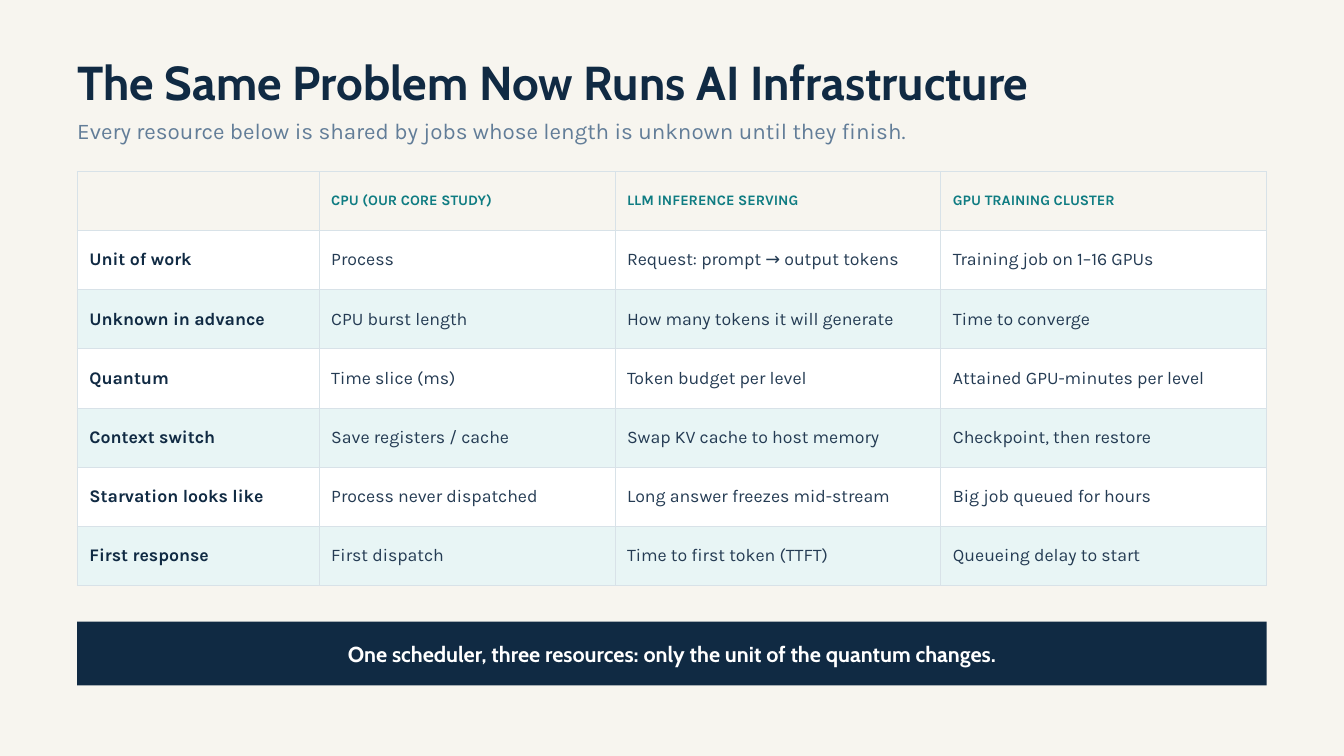
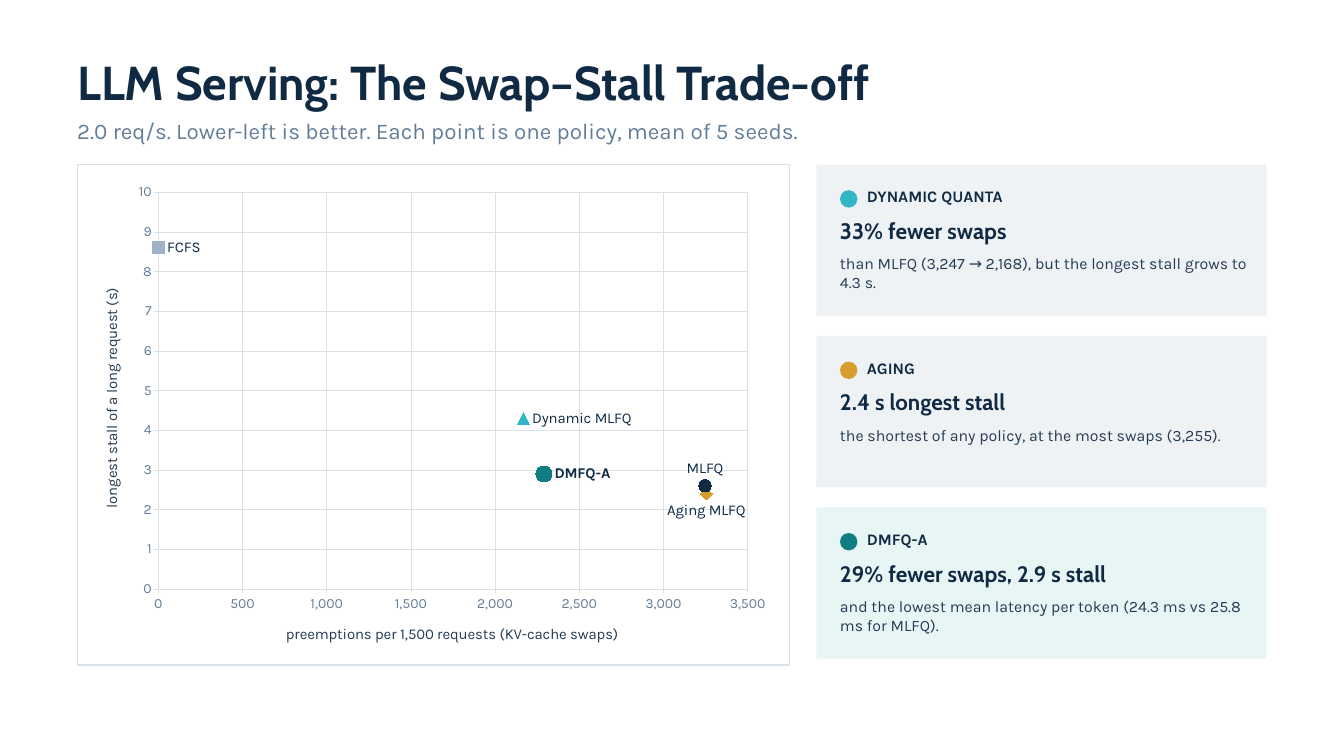
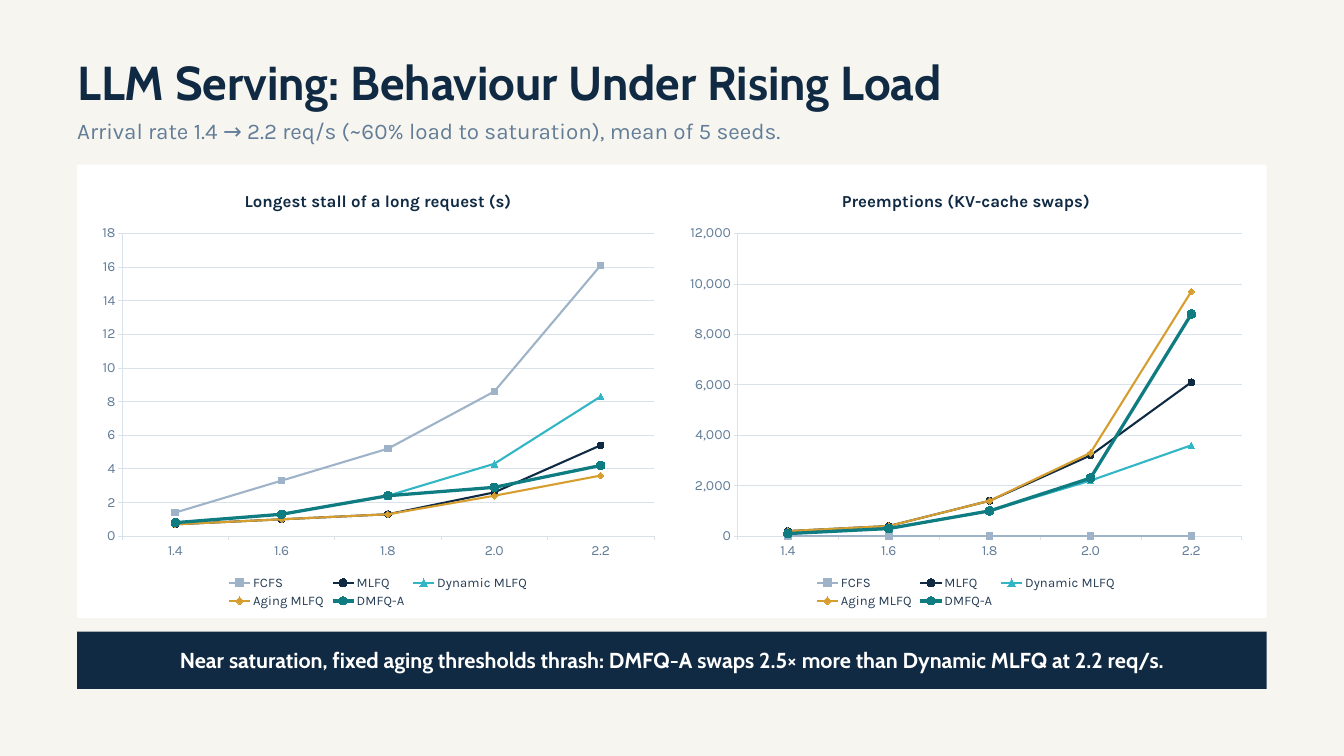
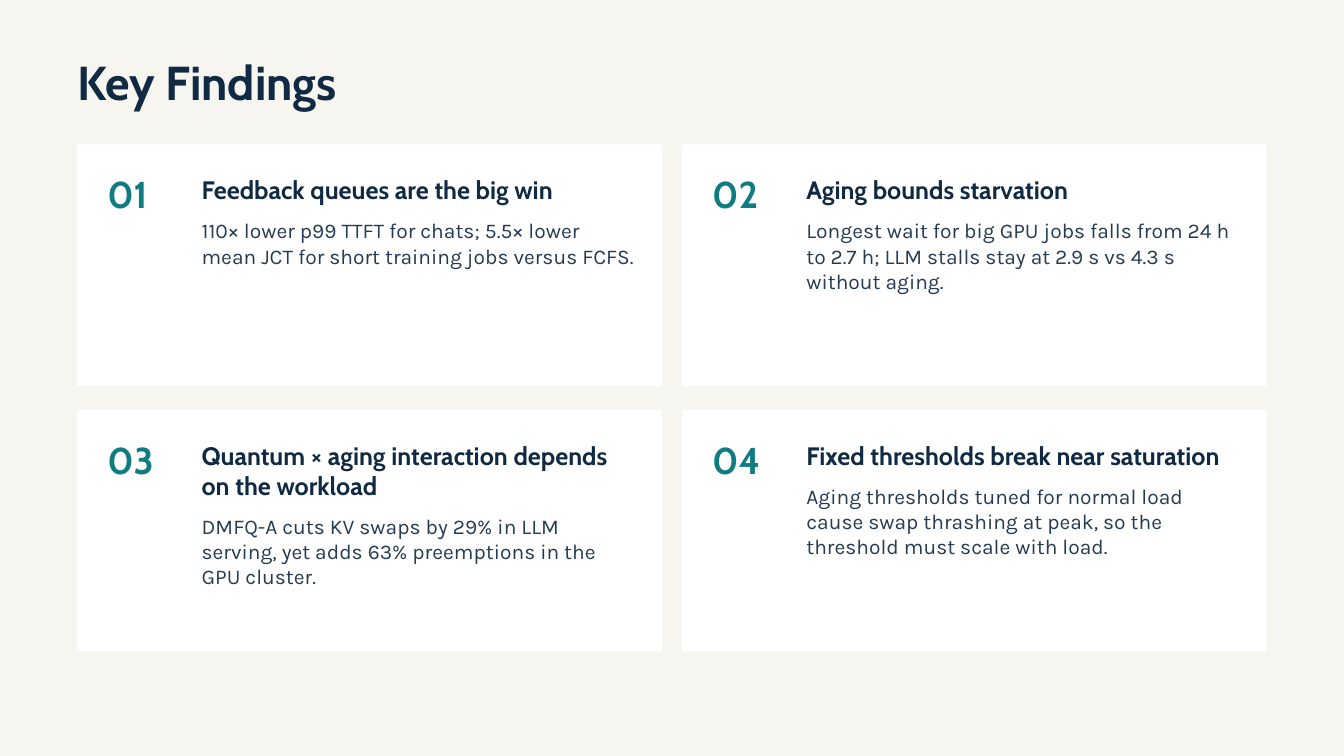
from lxml import etree
from pptx import Presentation
from pptx import util as u
from pptx.chart import data as chart_data
from pptx.dml.color import RGBColor
from pptx.enum import chart as ch, shapes, text as tx
from pptx.oxml import ns

rgb = RGBColor.from_string

NAVY, INK, SLATE, TEAL = "102A43", "243B53", "627D98", "0F7C82"
CYAN, GOLD, STEEL = "32B6C5", "D69E2E", "9FB3C8"
CREAM, WHITE, MINT, MIST, RULE = "F7F5EF", "FFFFFF", "E8F5F5", "EEF2F5", "D8E2E8"
HEAD, BODY = "Cabin", "Karla"
LEFT, WIDTH = 2.92, 44.96


def add_box(page, left, top, width, height, fill=None, kind=shapes.MSO_SHAPE.RECTANGLE):
    """Add a filled shape, or a text box without margins if there is no fill."""
    place = [u.Cm(length) for length in (left, top, width, height)]
    if fill:
        box = page.shapes.add_shape(kind, *place)
        box.shadow.inherit = False
        box.fill.solid()
        box.fill.fore_color.rgb = rgb(fill)
        box.line.fill.background()
        return box
    box = page.shapes.add_textbox(*place)
    frame = box.text_frame
    frame.word_wrap = True
    frame.margin_left = frame.margin_top = frame.margin_right = frame.margin_bottom = 0
    return box


def write(frame, text, size, color=INK, font=BODY, bold=False, align=None, after=None):
    """Fill the first paragraph of a text frame, or add one if it is taken."""
    para = frame.paragraphs[0]
    if para.runs:
        para = frame.add_paragraph()
    para.alignment = align
    if after is not None:
        para.space_after = u.Pt(after)
    span = para.add_run()
    span.text = text
    span.font.size = u.Pt(size)
    span.font.name = font
    span.font.bold = bold
    span.font.color.rgb = rgb(color)


deck = Presentation()
deck.slide_width, deck.slide_height = u.Cm(50.8), u.Cm(28.58)

# Backgrounds, titles and subtitles
headings = [
    (CREAM, "The Same Problem Now Runs AI Infrastructure",
     "Every resource below is shared by jobs whose length is unknown until they finish."),
    (WHITE, "LLM Serving: The Swap–Stall Trade-off",
     "2.0 req/s. Lower-left is better. Each point is one policy, mean of 5 seeds."),
    (CREAM, "LLM Serving: Behaviour Under Rising Load",
     "Arrival rate 1.4 → 2.2 req/s (~60% load to saturation), mean of 5 seeds."),
    (CREAM, "Key Findings", None),
]
pages = []
for background, title, subtitle in headings:
    page = deck.slides.add_slide(deck.slide_layouts[6])
    page.background.fill.solid()
    page.background.fill.fore_color.rgb = rgb(background)
    write(add_box(page, LEFT, 2.01, WIDTH, 2.03).text_frame, title, 51, NAVY, HEAD, True)
    if subtitle:
        write(add_box(page, LEFT, 4.42, 43.18, 1.14).text_frame, subtitle, 24, SLATE)
    pages.append(page)
resources_page, tradeoff_page, load_page, findings_page = pages

# Slide 1: comparison table
rows = [
    ("", "CPU (OUR CORE STUDY)", "LLM INFERENCE SERVING", "GPU TRAINING CLUSTER"),
    ("Unit of work", "Process", "Request: prompt → output tokens", "Training job on 1–16 GPUs"),
    ("Unknown in advance", "CPU burst length", "How many tokens it will generate", "Time to converge"),
    ("Quantum", "Time slice (ms)", "Token budget per level", "Attained GPU-minutes per level"),
    ("Context switch", "Save registers / cache", "Swap KV cache to host memory",
     "Checkpoint, then restore"),
    ("Starvation looks like", "Process never dispatched", "Long answer freezes mid-stream",
     "Big job queued for hours"),
    ("First response", "First dispatch", "Time to first token (TTFT)", "Queueing delay to start"),
]
row_height = 2.235
table = resources_page.shapes.add_table(
    len(rows), len(rows[0]), u.Cm(LEFT), u.Cm(6.48), u.Cm(WIDTH), u.Cm(row_height * len(rows))).table
for column, width in zip(table.columns, (9.14, 11.18, 12.32, 12.32)):
    column.width = u.Cm(width)
for row_index, row in enumerate(rows):
    table.rows[row_index].height = u.Cm(row_height)
    for column_index, text in enumerate(row):
        cell = table.cell(row_index, column_index)
        cell.margin_left = cell.margin_right = u.Cm(0.46)
        cell.margin_top = cell.margin_bottom = u.Cm(0.2)
        cell.vertical_anchor = tx.MSO_ANCHOR.MIDDLE
        properties = cell._tc.get_or_add_tcPr()
        for side in ("a:lnL", "a:lnR", "a:lnT", "a:lnB"):
            border = etree.SubElement(properties, ns.qn(side), w=str(u.Pt(0.75)))
            solid = etree.SubElement(border, ns.qn("a:solidFill"))
            etree.SubElement(solid, ns.qn("a:srgbClr"), val=RULE)
        cell.fill.solid()
        fill = CREAM if row_index == 0 else WHITE if row_index % 2 else MINT
        cell.fill.fore_color.rgb = rgb(fill)
        if row_index == 0 and text:
            write(cell.text_frame, text, 15.5, TEAL, bold=True)
        elif text:
            is_label = column_index == 0
            write(cell.text_frame, text, 19, NAVY if is_label else INK, bold=is_label)

# Slide 2: scatter chart, one series per policy
panel = add_box(tradeoff_page, LEFT, 6.22, 26.92, 18.92, WHITE)
panel.line.color.rgb = rgb(RULE)
panel.line.width = u.Pt(1.25)

marker_styles, label_positions = ch.XL_MARKER_STYLE, ch.XL_LABEL_POSITION
policies = [
    ("FCFS", STEEL, marker_styles.SQUARE, 0, 8.6, label_positions.RIGHT),
    ("MLFQ", NAVY, marker_styles.CIRCLE, 3247, 2.6, label_positions.ABOVE),
    ("Dynamic MLFQ", CYAN, marker_styles.TRIANGLE, 2168, 4.3, label_positions.RIGHT),
    ("Aging MLFQ", GOLD, marker_styles.DIAMOND, 3255, 2.4, label_positions.BELOW),
    ("DMFQ-A", TEAL, marker_styles.CIRCLE, 2290, 2.9, label_positions.RIGHT),
]
points = chart_data.XyChartData()
for number, policy in enumerate(policies, 1):
    points.add_series(f"Series {number}").add_data_point(policy[3], policy[4])
scatter = tradeoff_page.shapes.add_chart(
    ch.XL_CHART_TYPE.XY_SCATTER, u.Cm(3.3), u.Cm(6.6), u.Cm(26.16), u.Cm(18.29), points).chart
scatter.has_title = scatter.has_legend = False
scatter.category_axis.has_major_gridlines = True
scatter.category_axis.tick_labels.number_format = "#,##0"
scatter.value_axis.tick_labels.number_format = "0"
for axis, title, turn in (
        (scatter.category_axis, "preemptions per 1,500 requests (KV-cache swaps)", "0"),
        (scatter.value_axis, "longest stall of a long request (s)", "-5400000")):
    axis.minimum_scale = 0
    frame = axis.axis_title.text_frame
    write(frame, title, 16)
    frame._txBody.bodyPr.set("rot", turn)
for series, (name, _, _, _, _, position) in zip(scatter.plots[0].series, policies):
    label = series.points[0].data_label
    write(label.text_frame, name, 16, NAVY, bold=name == "DMFQ-A")
    label.position = position

# Slide 2: takeaway cards
cards = [
    (MIST, CYAN, "DYNAMIC QUANTA", "33% fewer swaps",
     "than MLFQ (3,247 → 2,168), but the longest stall grows to 4.3 s."),
    (MIST, GOLD, "AGING", "2.4 s longest stall",
     "the shortest of any policy, at the most swaps (3,255)."),
    (MINT, TEAL, "DMFQ-A", "29% fewer swaps, 2.9 s stall",
     "and the lowest mean latency per token (24.3 ms vs 25.8 ms for MLFQ)."),
]
for index, (fill, color, label, headline, detail) in enumerate(cards):
    top = 6.22 + index * 6.48
    add_box(tradeoff_page, 30.86, top, 17.02, 5.72, fill)
    add_box(tradeoff_page, 31.75, top + 0.97, 0.66, 0.66, color, shapes.MSO_SHAPE.OVAL)
    for left, offset, width, height, text, size, ink, font, bold in (
            (32.77, 0.84, 14.22, 0.84, label, 17.2, NAVY, BODY, True),
            (31.75, 1.98, 15.49, 1.4, headline, 24, NAVY, HEAD, True),
            (31.75, 3.38, 15.49, 2.29, detail, 17, INK, BODY, False)):
        box = add_box(tradeoff_page, left, top + offset, width, height)
        write(box.text_frame, text, size, ink, font, bold)

# Slide 3: two line charts, values in the order of the policies
add_box(load_page, LEFT, 6.22, WIDTH, 17.15, WHITE)
load_charts = [
    ("Longest stall of a long request (s)", "0", [
        (1.4, 3.3, 5.2, 8.6, 16.1),
        (0.7, 1, 1.3, 2.6, 5.4),
        (0.8, 1.3, 2.4, 4.3, 8.3),
        (0.7, 1, 1.3, 2.4, 3.6),
        (0.8, 1.3, 2.4, 2.9, 4.2)]),
    ("Preemptions (KV-cache swaps)", "#,##0", [
        (0, 0, 0, 0, 0),
        (200, 400, 1400, 3200, 6100),
        (100, 300, 1000, 2200, 3600),
        (200, 400, 1400, 3300, 9700),
        (100, 300, 1000, 2300, 8800)]),
]
charts = [scatter]
for index, (title, number_format, values) in enumerate(load_charts):
    rates = chart_data.CategoryChartData()
    rates.categories = ["1.4", "1.6", "1.8", "2.0", "2.2"]
    for policy, policy_values in zip(policies, values):
        rates.add_series(policy[0], policy_values)
    chart = load_page.shapes.add_chart(
        ch.XL_CHART_TYPE.LINE_MARKERS, u.Cm(3.43 + index * 22.22), u.Cm(6.6),
        u.Cm(21.72), u.Cm(16.51), rates).chart
    chart.has_title = True
    write(chart.chart_title.text_frame, title, 18, NAVY, bold=True)
    chart.value_axis.tick_labels.number_format = number_format
    chart.has_legend = True
    chart.legend.position = ch.XL_LEGEND_POSITION.BOTTOM
    chart.legend.include_in_layout = False
    chart.legend.font.size = u.Pt(14)
    chart.legend.font.name = BODY
    chart.legend.font.color.rgb = rgb(INK)
    charts.append(chart)

# Style shared by all charts
for chart in charts:
    is_scatter = chart is scatter
    chart.font.size = u.Pt(15)
    chart.font.name = BODY
    chart.font.color.rgb = rgb(INK)
    chart.plots[0].vary_by_categories = False
    chart.value_axis.has_major_gridlines = True
    for axis in (chart.category_axis, chart.value_axis):
        axis.major_tick_mark = ch.XL_TICK_MARK.OUTSIDE
        axis.tick_labels.number_format_is_linked = False
        axis.tick_labels.font.size = u.Pt(15)
        axis.tick_labels.font.name = BODY
        axis.tick_labels.font.color.rgb = rgb(SLATE)
        lines = [axis.format.line]
        if axis.has_major_gridlines:
            lines.append(axis.major_gridlines.format.line)
        for line in lines:
            line.color.rgb = rgb(RULE)
            line.width = u.Pt(0.75)
    for series, (name, color, style, *_) in zip(chart.plots[0].series, policies):
        is_main = name == "DMFQ-A"
        series.smooth = False
        series.marker.style = style
        if is_scatter:
            series.marker.size = 17 if is_main else 13
            series.format.line.fill.background()
        else:
            series.marker.size = 9 if is_main else 7
            series.format.line.color.rgb = rgb(color)
            series.format.line.width = u.Pt(3.5 if is_main else 2.25)
        series.marker.format.fill.solid()
        series.marker.format.fill.fore_color.rgb = rgb(color)
        series.marker.format.line.color.rgb = rgb(color)

# Conclusion bands on slides 1 and 3
for page, top, height, text in (
        (resources_page, 23.5, 2.41,
         "One scheduler, three resources: only the unit of the quantum changes."),
        (load_page, 23.88, 2.16,
         "Near saturation, fixed aging thresholds thrash: "
         "DMFQ-A swaps 2.5× more than Dynamic MLFQ at 2.2 req/s.")):
    add_box(page, LEFT, top, WIDTH, height, NAVY)
    frame = add_box(page, 3.94, top, 42.93, height).text_frame
    frame.vertical_anchor = tx.MSO_ANCHOR.MIDDLE
    write(frame, text, 23.2, WHITE, HEAD, True, align=tx.PP_ALIGN.CENTER)

# Slide 4: findings in a two by two grid
findings = [
    ("Feedback queues are the big win",
     "110× lower p99 TTFT for chats; 5.5× lower mean JCT for short training jobs versus FCFS."),
    ("Aging bounds starvation",
     "Longest wait for big GPU jobs falls from 24 h to 2.7 h; "
     "LLM stalls stay at 2.9 s vs 4.3 s without aging."),
    ("Quantum × aging interaction depends on the workload",
     "DMFQ-A cuts KV swaps by 29% in LLM serving, yet adds 63% preemptions in the GPU cluster."),
    ("Fixed thresholds break near saturation",
     "Aging thresholds tuned for normal load cause swap thrashing at peak, "
     "so the threshold must scale with load."),
]
for index, (headline, detail) in enumerate(findings):
    left = LEFT + index % 2 * 22.86
    top = 5.46 + index // 2 * 10.03
    add_box(findings_page, left, top, 22.1, 9.14, WHITE)
    number = add_box(findings_page, left + 1.14, top + 1.02, 3.56, 2.03)
    write(number.text_frame, f"{index + 1:02}", 40, TEAL, HEAD, True)
    frame = add_box(findings_page, left + 4.7, top + 1.14, 16.51, 7.62).text_frame
    write(frame, headline, 27, NAVY, HEAD, True, after=14)
    write(frame, detail, 22.5, after=14)

deck.save("out.pptx")
